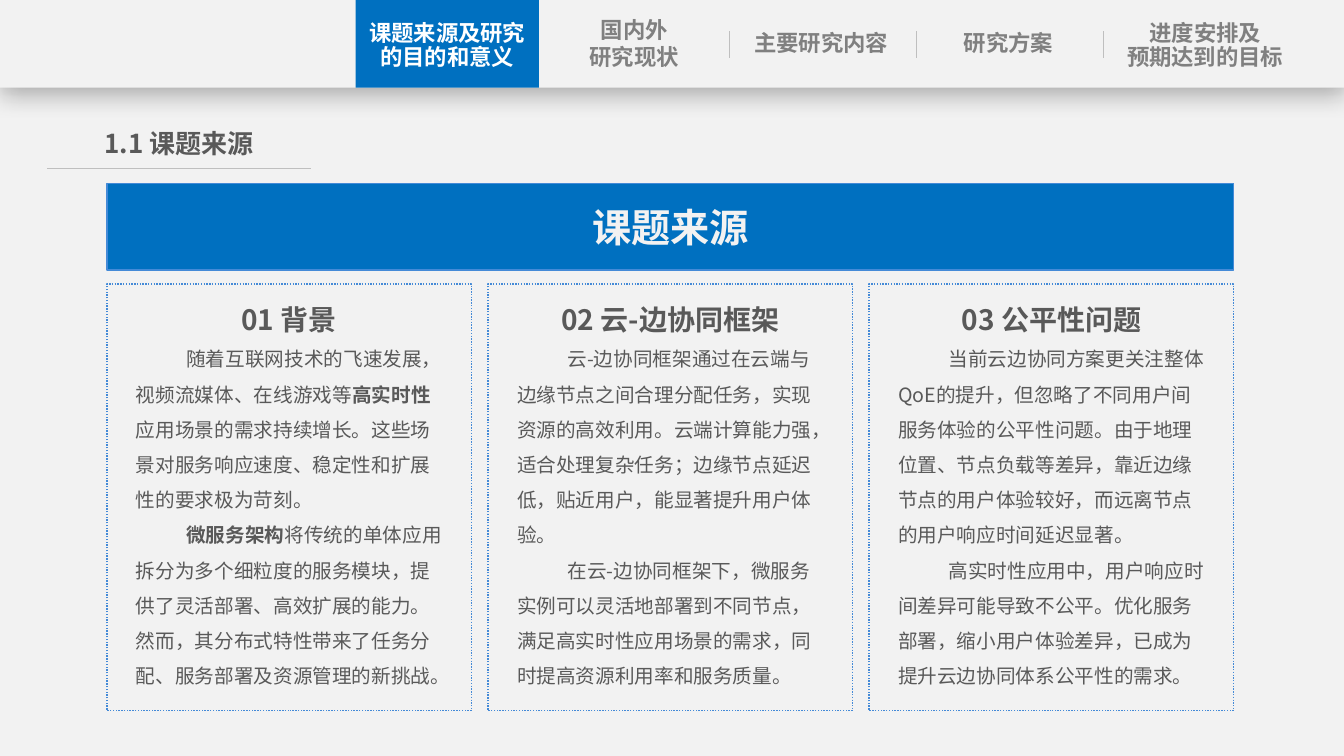
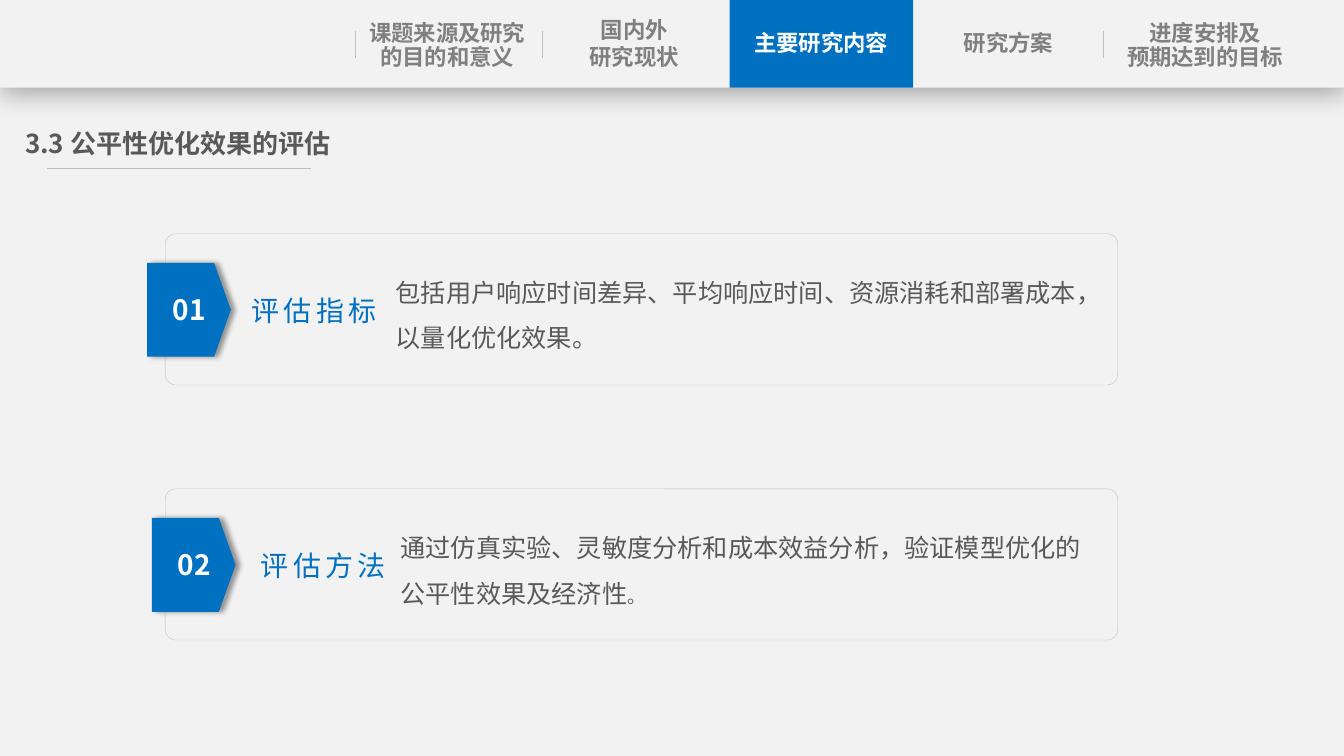
from lxml.etree import SubElement
from pptx import Presentation
from pptx.dml.color import RGBColor
from pptx.enum.dml import MSO_LINE
from pptx.enum.shapes import MSO_CONNECTOR, MSO_SHAPE
from pptx.enum.text import MSO_ANCHOR, MSO_AUTO_SIZE, PP_ALIGN
from pptx.oxml.ns import qn
from pptx.util import Pt

# Shared style
FONT = "Noto Sans CJK SC"
COLORS = {
    "page": "F2F2F2", "blue": "0070C0", "edge": "448AD7", "rule": "BFBFBF",
    "text": "595959", "muted": "808080", "white": "FFFFFF", "shadow": "000000",
}
SLIDE_W, SLIDE_H = 960, 540
HEADER_H = 62.6
TAB_LEFT, TAB_PITCH, TAB_W, TAB_TEXT_W, TAB_TEXT_H = 254, 133.6, 131, 118, 42

# Content: tab lines, line heights, vertical middle, sideways shift
TABS = [
    (["课题来源及研究的目的和意义"], [17.2], 32.8, 0),
    (["国内外", "研究现状"], [15.4, 19.2], 32.8, 0),
    (["主要研究内容"], [19.2], 30.6, 0),
    (["研究方案"], [19.2], 30.6, 0),
    (["进度安排及", "预期达到的目标"], [17.2, 17.2], 32.8, 7),
]

ORIGIN = {"title": "1.1 课题来源", "title_box": (64, 128), "tab": 0, "banner": "课题来源"}
# Each paragraph is a list of (text, bold)
ORIGIN_COLUMNS = [
    ("01 背景", [
        [("随着互联网技术的飞速发展，视频流媒体、在线游戏等", False), ("高实时性", True),
         ("应用场景的需求持续增长。这些场景对服务响应速度、稳定性和扩展性的要求极为苛刻。", False)],
        [("微服务架构", True),
         ("将传统的单体应用拆分为多个细粒度的服务模块，提供了灵活部署、高效扩展的能力。"
          "然而，其分布式特性带来了任务分配、服务部署及资源管理的新挑战。", False)],
    ]),
    ("02 云-边协同框架", [
        [("云-边协同框架通过在云端与边缘节点之间合理分配任务，实现资源的高效利用。"
          "云端计算能力强，适合处理复杂任务；边缘节点延迟低，贴近用户，能显著提升用户体验。", False)],
        [("在云-边协同框架下，微服务实例可以灵活地部署到不同节点，"
          "满足高实时性应用场景的需求，同时提高资源利用率和服务质量。", False)],
    ]),
    ("03 公平性问题", [
        [("当前云边协同方案更关注整体QoE的提升，但忽略了不同用户间服务体验的公平性问题。"
          "由于地理位置、节点负载等差异，靠近边缘节点的用户体验较好，而远离节点的用户响应时间延迟显著。", False)],
        [("高实时性应用中，用户响应时间差异可能导致不公平。"
          "优化服务部署，缩小用户体验差异，已成为提升云边协同体系公平性的需求。", False)],
    ]),
]

EVALUATION = {"title": "3.3 公平性优化效果的评估", "title_box": (0, 254), "tab": 2}
# Number, label, description as (text, size), sideways shift, label width
EVALUATION_CARDS = [
    ("01", "评估指标",
     [("包括用户响应时间差异、平均响应时间、资源消耗和部署成本，以量化优化效果。", 18)], 0, 108.6),
    ("02", "评估方法",
     [("通过仿真实验、灵敏度分析和成本效益分析，验证模型优化的公平性效果及经济性", 18),
      ("。", 13)], 3.4, 115.2),
]


# Helpers
def rgb(name):
    return RGBColor.from_string(COLORS[name])


def write(paragraph, text, size, color, bold=False, align=PP_ALIGN.CENTER,
          line_height=None, indent=0, tracking=0):
    """Style a paragraph; a non-empty text becomes its single run."""
    if text:
        paragraph.add_run().text = text
    paragraph.alignment = align
    if line_height:
        paragraph.line_spacing = Pt(line_height)
    font = paragraph.font
    font.name, font.size, font.bold = FONT, Pt(size), bold
    font.color.rgb = rgb(color)
    properties = paragraph._p.get_or_add_pPr()
    if indent:
        properties.set("marL", "0")
        properties.set("indent", str(Pt(indent)))
    defaults = properties.find(qn("a:defRPr"))
    defaults.set("lang", "zh-CN")
    if tracking:
        defaults.set("spc", str(tracking * 100))
    SubElement(defaults, qn("a:ea")).set("typeface", FONT)


def set_frame(frame, anchor=MSO_ANCHOR.MIDDLE, insets=(0, 3.6, 0, 3.6)):
    frame.word_wrap = True
    frame.auto_size = MSO_AUTO_SIZE.NONE
    frame.vertical_anchor = anchor
    (frame.margin_left, frame.margin_top,
     frame.margin_right, frame.margin_bottom) = map(Pt, insets)
    return frame


def add_text(slide, box, **frame_options):
    return set_frame(slide.shapes.add_textbox(*map(Pt, box)).text_frame, **frame_options)


def add_block(slide, kind, box, fill=None, line=None, width=1):
    block = slide.shapes.add_shape(kind, *map(Pt, box))
    block.shadow.inherit = False
    if fill:
        block.fill.solid()
        block.fill.fore_color.rgb = rgb(fill)
    else:
        block.fill.background()
    if line:
        block.line.color.rgb = rgb(line)
        block.line.width = Pt(width)
    else:
        block.line.fill.background()
    return block


def cast_shadow(block, alpha, blur, distance, direction):
    effects = block.element.spPr.find(qn("a:effectLst"))
    shadow = SubElement(effects, qn("a:outerShdw"), blurRad=str(Pt(blur)),
                        dist=str(Pt(distance)), dir=str(direction * 60000),
                        algn="ctr", rotWithShape="0")
    color = SubElement(shadow, qn("a:srgbClr"), val=COLORS["shadow"])
    SubElement(color, qn("a:alpha"), val=str(alpha * 1000))


def add_rule(slide, *ends):
    rule = slide.shapes.add_connector(MSO_CONNECTOR.STRAIGHT, *map(Pt, ends))
    rule.line.color.rgb = rgb("rule")
    rule.line.width = Pt(0.5)
    SubElement(rule.element.spPr, qn("a:effectLst"))


def add_tabs(slide, active):
    header = add_block(slide, MSO_SHAPE.RECTANGLE, (0, 0, SLIDE_W, HEADER_H), "page")
    cast_shadow(header, 29, 18, 4, 90)
    for i, (lines, heights, middle, shift) in enumerate(TABS):
        left = TAB_LEFT + i * TAB_PITCH
        if i == active:
            add_block(slide, MSO_SHAPE.RECTANGLE, (left, 0, TAB_W, HEADER_H), "blue")
        elif i != active + 1:
            add_rule(slide, left, 22.3, left, 41.8)
        frame = add_text(slide, (left + (TAB_W - TAB_TEXT_W) / 2 + shift,
                                 middle - TAB_TEXT_H / 2, TAB_TEXT_W, TAB_TEXT_H))
        for n, (line, height) in enumerate(zip(lines, heights)):
            paragraph = frame.add_paragraph() if n else frame.paragraphs[0]
            write(paragraph, line, 16, "white" if i == active else "muted",
                  bold=True, line_height=height)


def start_slide(prs, content):
    slide = prs.slides.add_slide(prs.slide_layouts[5])
    add_tabs(slide, content["tab"])
    title = slide.shapes.title
    left, width = content["title_box"]
    title.left, title.top, title.width, title.height = map(Pt, (left, 87, width, 30))
    write(set_frame(title.text_frame).paragraphs[0], content["title"], 18.6, "text", bold=True)
    add_rule(slide, 33.8, 120.2, 222.5, 120.2)
    return slide


# Topic origin: banner over three columns
def build_origin(prs):
    slide = start_slide(prs, ORIGIN)
    left, width, column_w = 76.3, 805, 260.6
    banner = add_block(slide, MSO_SHAPE.RECTANGLE, (left, 131, width, 62), "blue", "edge")
    write(set_frame(banner.text_frame).paragraphs[0], ORIGIN["banner"], 28, "page", bold=True)
    pitch = (width - column_w) / (len(ORIGIN_COLUMNS) - 1)
    for i, (heading, paragraphs) in enumerate(ORIGIN_COLUMNS):
        column = add_block(slide, MSO_SHAPE.RECTANGLE,
                           (left + i * pitch, 203, column_w, 304.6), line="edge")
        column.line.dash_style = MSO_LINE.ROUND_DOT
        frame = set_frame(column.text_frame, MSO_ANCHOR.TOP, (20.8, 0.8, 20.8, 0))
        write(frame.paragraphs[0], heading, 20, "text", bold=True, line_height=36)
        for runs in paragraphs:
            paragraph = frame.add_paragraph()
            write(paragraph, "", 14, "text", align=PP_ALIGN.LEFT, line_height=25.15, indent=36)
            for text, bold in runs:
                run = paragraph.add_run()
                run.text = text
                if bold:
                    run.font.bold = True


# Evaluation: two numbered cards
def build_evaluation(prs):
    slide = start_slide(prs, EVALUATION)
    for i, (number, label, description, shift, label_w) in enumerate(EVALUATION_CARDS):
        top = 167 + i * 182.2
        card = add_block(slide, MSO_SHAPE.ROUNDED_RECTANGLE, (118, top, 680.4, 108),
                         "page", "rule", 0.25)
        card.adjustments[0] = 0.07
        marker = add_block(slide, MSO_SHAPE.FLOWCHART_OFFPAGE_CONNECTOR,
                           (101.5 + shift, top + 24.4, 67, 59.8), "blue")
        marker.rotation = 270
        cast_shadow(marker, 40, 4, 3, 0)
        label_frame = add_text(slide, (170 + shift, top + 24.4, label_w, 59.8))
        write(label_frame.paragraphs[0], label, 20, "blue", tracking=3)
        number_frame = add_text(slide, (109.4 + shift, top + 38.2, 52, 31.6))
        write(number_frame.paragraphs[0], number, 20, "white", bold=True)
        frame = add_text(slide, (275.6 + shift, top + 17.2, 511.2, 72.6),
                         anchor=MSO_ANCHOR.TOP, insets=(7.2, 3.6, 7.2, 3.6))
        paragraph = frame.paragraphs[0]
        write(paragraph, "", 18, "text", align=PP_ALIGN.LEFT, line_height=32.2)
        for text, size in description:
            run = paragraph.add_run()
            run.text = text
            if size != 18:
                run.font.size = Pt(size)


def main():
    prs = Presentation()
    prs.slide_width, prs.slide_height = Pt(SLIDE_W), Pt(SLIDE_H)
    backdrop = prs.slide_master.background.fill
    backdrop.solid()
    backdrop.fore_color.rgb = rgb("page")
    build_origin(prs)
    build_evaluation(prs)
    prs.save("out.pptx")


if __name__ == "__main__":
    main()
